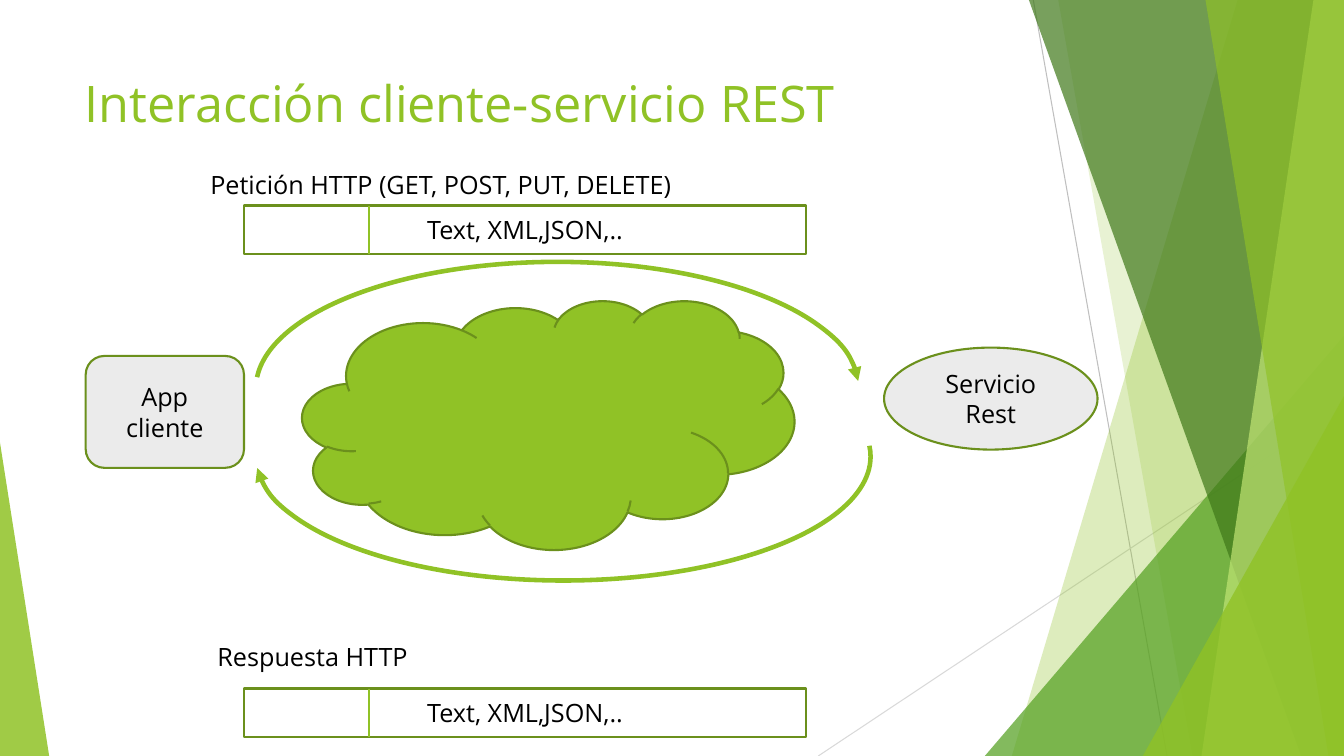
"""Build the slide on the interaction between a client and a REST service."""
from lxml.etree import SubElement
from pptx import Presentation
from pptx.dml.color import RGBColor
from pptx.enum.shapes import MSO_CONNECTOR, MSO_SHAPE as Shape
from pptx.enum.text import MSO_ANCHOR as Anchor, PP_ALIGN as Align
from pptx.oxml.ns import qn
from pptx.util import Cm, Pt

W, H = 33.87, 19.05
FONT = "Open Sans"
GREEN, DARK, GREY, WHITE, BLACK = "90C226", "6B901C", "EBEBEB", "FFFFFF", "000000"

TITLE = ("Interacción cliente-servicio REST", (1.88, 1.7, 23.88, 3.66))
RAYS = [((26.04, 0), (29.41, H), "BFBFBF"), ((W, 10.24), (20.62, H), "D9D9D9")]
DECOR = [
    ("band", (31.19, 25.5), GREEN, 30),
    ("band", (26.67, 30.05), GREEN, 20),
    ("triangle", (24.82, 8.46, W, 1), "54A021", 72),
    ("band", (25.93, 32.79), "3F7819", 70),
    ("band", (33.1, 30.28), "C0E474", 70),
    ("band", (30.38, 33.48), GREEN, 65),
    ("triangle", (28.8, 9.98, W, 1), GREEN, 80),
    ("triangle", (0, 11.15, 1.24, 0), GREEN, 85),
]
NODES = [
    (Shape.CLOUD, (7.62, 7.57, 12.4, 6.27), GREEN, ""),
    (Shape.ROUNDED_RECTANGLE, (2.16, 8.97, 3.99, 2.82), GREY, "App cliente"),
    (Shape.OVAL, (22.28, 8.76, 5.38, 2.57), GREY, "Servicio\nRest"),
]
ARCS = [
    ((6.45, 6.6, 15.19, 6.38), (109.29, 215.15), "tailEnd", False),
    ((6.45, 8.38, 15.49, 6.25), (109.29, 1.21), "headEnd", True),
]
CAPTIONS = [("Petición HTTP (GET, POST, PUT, DELETE)", 5.05, 4.14),
            ("Respuesta HTTP", 5.23, 16.03)]
BAR_TEXT, BAR_TOPS = "Text, XML,JSON,..", (5.18, 17.35)
BAR_X, BAR_W, BAR_H, DIVIDER_X = 6.15, 14.17, 1.22, 9.3


def rgb(color):
    return RGBColor.from_string(color)


def apply(target, values):
    for name, value in values.items():
        setattr(target, name, value)


def write(tf, text, size=18, color=BLACK, align=Align.LEFT, anchor=Anchor.TOP):
    tf.text = text
    apply(tf, {"word_wrap": True, "vertical_anchor": anchor})
    for p in tf.paragraphs:
        p.alignment = align
        for r in p.runs:
            apply(r.font, {"size": Pt(size), "name": FONT})
            r.font.color.rgb = rgb(color)


def paint(sp, fill=None, line=None, width=1.5, alpha=100):
    sp.shadow.inherit = False
    if fill:
        sp.fill.solid()
        sp.fill.fore_color.rgb = rgb(fill)
        if alpha < 100:
            color = sp.element.spPr.find(qn("a:solidFill"))[0]
            SubElement(color, qn("a:alpha"), val=str(alpha * 1000))
    else:
        sp.fill.background()
    if line:
        sp.line.color.rgb = rgb(line)
        sp.line.width = Pt(width)
    else:
        sp.line.fill.background()


def add_preset(shapes, kind, box):
    return shapes.add_shape(kind, *map(Cm, box))


def add_line(shapes, start, end, color, width):
    cx = shapes.add_connector(MSO_CONNECTOR.STRAIGHT, *map(Cm, start + end))
    cx.line.color.rgb = rgb(color)
    cx.line.width = Pt(width)
    SubElement(cx.element.spPr, qn("a:effectLst"))


def add_decor(shapes, kind, place, color, alpha):
    if kind == "band":
        top_x, bottom_x = place
        corners = [(Cm(x), Cm(y)) for x, y in ((W, 0), (W, H), (bottom_x, H))]
        fb = shapes.build_freeform(Cm(top_x), 0)
        fb.add_line_segments(corners)
        sp = fb.convert_to_shape()
    else:
        left, top, right, apex = place
        sp = add_preset(shapes, Shape.ISOSCELES_TRIANGLE,
                        (left, top, right - left, H - top))
        sp.adjustments[0] = apex
    paint(sp, color, alpha=alpha)


def add_node(shapes, kind, box, fill, text):
    sp = add_preset(shapes, kind, box)
    paint(sp, fill, DARK)
    if text:
        write(sp.text_frame, text, align=Align.CENTER, anchor=Anchor.MIDDLE)


def add_arc(shapes, box, angles, arrow_end, flipped):
    sp = add_preset(shapes, Shape.ARC, box)
    for i, angle in enumerate(angles):
        sp.adjustments[i] = angle
    paint(sp, line=GREEN, width=3.25)
    SubElement(sp.line._get_or_add_ln(), qn(f"a:{arrow_end}"), type="triangle")
    if flipped:
        sp.element.spPr.find(qn("a:xfrm")).set("flipV", "1")


def main():
    prs = Presentation()
    apply(prs, {"slide_width": Cm(W), "slide_height": Cm(H)})
    s = prs.slides.add_slide(prs.slide_layouts[5])
    shapes = s.shapes

    text, box = TITLE
    apply(shapes.title, dict(zip(("left", "top", "width", "height"), map(Cm, box))))
    write(shapes.title.text_frame, text, 36, GREEN)

    for start, end, color in RAYS:
        add_line(shapes, start, end, color, 0.75)
    for item in DECOR:
        add_decor(shapes, *item)
    for node in NODES:
        add_node(shapes, *node)
    for arc in ARCS:
        add_arc(shapes, *arc)
    for text, left, top in CAPTIONS:
        tb = shapes.add_textbox(*map(Cm, (left, top, 13.44, 1.02)))
        write(tb.text_frame, text)
    for top in BAR_TOPS:
        add_node(shapes, Shape.RECTANGLE, (BAR_X, top, BAR_W, BAR_H), WHITE, BAR_TEXT)
        add_line(shapes, (DIVIDER_X, top + BAR_H), (DIVIDER_X, top), GREEN, 1)

    prs.save("out.pptx")


if __name__ == "__main__":
    main()
